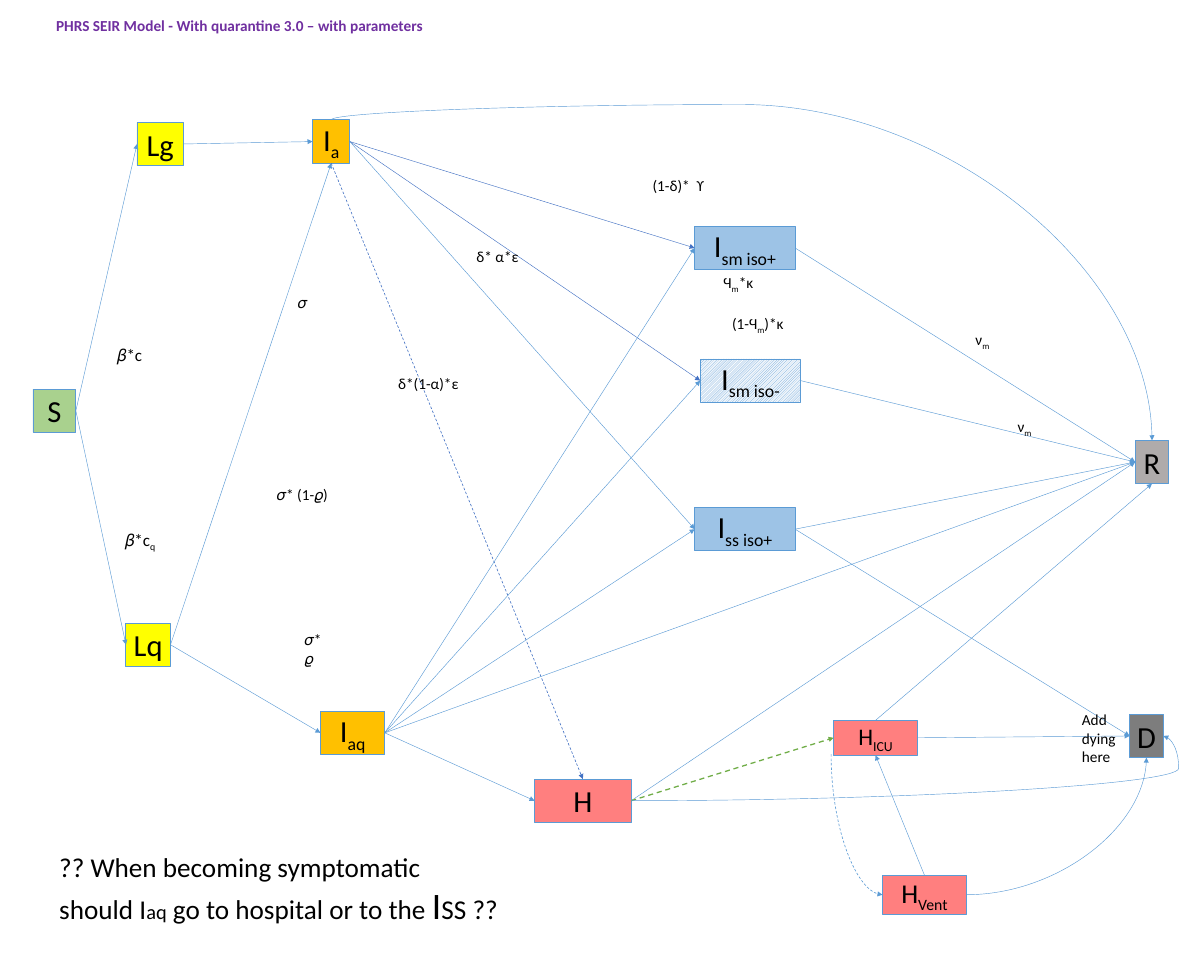
from lxml import etree
from pptx import Presentation, util as u
from pptx.dml.color import RGBColor
from pptx.enum import dml, shapes, text
from pptx.oxml.ns import qn

COLORS = {"title": "7030A0", "ink": "000000", "edge": "5B9BD5", "dark": "4472C4",
          "green": "70AD47", "susceptible": "A9D18E", "latent": "FFFF00",
          "infected": "FFC000", "isolated": "9DC3E6", "hospital": "FF0000",
          "recovered": "AFABAB", "dead": "404040", "white": "FFFFFF"}
ALPHA = {"hospital": 50, "dead": 68}
SITES = {"t": (0, 0.5, 0), "l": (1, 0, 0.5), "b": (2, 0.5, 1), "r": (3, 1, 0.5),
         "corner": (None, -0.03, 0.97)}

NODES = {
    "S": ("S", 0, 11.18, 1.78, 1.8, 36, "susceptible"),
    "Lg": ("Lg", 4.32, 0.1, 1.93, 1.8, 36, "latent"),
    "Lq": ("Lq", 3.86, 20.9, 1.85, 1.8, 36, "latent"),
    "Ia": ("I|a", 11.61, 0, 1.55, 1.8, 36, "infected"),
    "Iaq": ("I|aq", 11.94, 24.56, 2.67, 1.8, 36, "infected"),
    "Ism+": ("I|sm iso+", 27.48, 4.42, 4.17, 1.8, 36, "isolated"),
    "Ism-": ("I|sm iso-", 27.71, 9.93, 4.17, 1.8, 36, "hatched"),
    "Iss": ("I|ss iso+", 27.48, 16.1, 4.17, 1.8, 36, "isolated"),
    "H": ("H", 20.83, 27.38, 4.01, 1.8, 36, "hospital"),
    "ICU": ("H|ICU", 33.25, 24.94, 3.48, 1.45, 28, "hospital"),
    "Vent": ("H|Vent", 35.28, 31.37, 3.48, 1.63, 32, "hospital"),
    "R": ("R", 45.77, 13.31, 1.4, 1.8, 36, "recovered"),
    "D": ("D", 45.54, 24.69, 1.4, 1.8, 36, "dead"),
}
THIN, DARK = ("edge", 0.5, False), ("dark", 0.5, False)
FLOWS = [
    ("S", "r", "Lg", "l", THIN), ("S", "r", "Lq", "l", THIN),
    ("Lg", "r", "Ia", "l", THIN), ("Lq", "r", "Ia", "b", THIN),
    ("Lq", "r", "Iaq", "l", THIN), ("Ia", "r", "Ism+", "l", DARK),
    ("Ia", "r", "Ism-", "l", DARK), ("Ia", "r", "Iss", "l", THIN),
    ("Ia", "b", "H", "t", ("dark", 0.75, True)),
    *[("Iaq", "r", end, "l", THIN) for end in ("Ism+", "Ism-", "Iss", "R", "H")],
    *[(start, "r", "R", "l", THIN) for start in ("Ism+", "Ism-", "Iss", "H")],
    ("Iss", "r", "D", "l", THIN), ("ICU", "r", "D", "l", THIN),
    ("ICU", "t", "R", "b", THIN), ("Vent", "t", "ICU", "b", THIN),
    ("H", "r", "ICU", "l", ("green", 1.5, True)),
]
CURVES = [
    ("Ia", "t", "R", "t", THIN, True, "curvedConnector3", -4800),
    ("H", "r", "D", "r", THIN, False, "curvedConnector3", 102900),
    ("Vent", "r", "D", "b", THIN, False, "curvedConnector2", None),
    ("ICU", "corner", "Vent", "l", ("edge", 0.75, True), True, "curvedConnector2", None),
]
LABELS = [
    ("𝛽*c", 3.25, 9.19, 2, 20), ("𝛽*c|q", 3.58, 16.89, 2.3, 20),
    ("𝜎", 10.75, 7.06, 1.3, 18), ("𝜎* (1-𝜚)", 9.88, 15.04, 3.2, 18),
    ("𝜎*\v𝜚", 11.03, 21.08, 1.55, 18), ("δ* α*ε", 18.16, 5.15, 2.6, 18),
    ("δ*(1-α)*ε", 14.91, 10.46, 4, 18), ("(1-δ)*  ϒ", 25.48, 2.21, 3.2, 18),
    ("Ϥ|m|*κ", 28.42, 6.25, 2.3, 18), ("(1-Ϥ|m|)*κ", 28.78, 7.95, 3.2, 18),
    ("ν|m", 38.89, 8.61, 1.4, 18), ("ν|m", 40.64, 12.24, 1.4, 18),
    ("Add dying here", 43.31, 24.41, 2.39, 18),
]


def rgb(name):
    """Return the named colour."""
    return RGBColor.from_string(COLORS[name])


def add_run(p, words, size, color="ink", sub=False, bold=False):
    """Append formatted text, honouring line breaks."""
    for i, part in enumerate(words.split("\v")):
        if i:
            p.add_line_break()
        r = p.add_run()
        r.text = part
        for key, value in {"name": "Calibri", "size": u.Pt(size), "bold": bold}.items():
            setattr(r.font, key, value)
        r.font.color.rgb = rgb(color)
        if sub:
            r.font._element.set("baseline", "-25000")


def add_marked(p, words, size):
    """Write text whose every second part between bars is a subscript."""
    for i, part in enumerate(words.split("|")):
        add_run(p, part, size, sub=i % 2 == 1)


def add_box(s, x, y, w, h):
    """Add a wrapping text box and return its first paragraph."""
    tf = s.shapes.add_textbox(*map(u.Cm, (x, y, w, h))).text_frame
    tf.word_wrap = True
    return tf.paragraphs[0]


def add_node(s, left, top, node):
    """Draw one compartment relative to the diagram corner."""
    words, x, y, w, h, size, color = node
    sp = s.shapes.add_shape(shapes.MSO_SHAPE.RECTANGLE,
                            *map(u.Cm, (left + x, top + y, w, h)))
    sp.shadow.inherit = False
    if color == "hatched":
        sp.fill.patterned()
        sp.fill.pattern = dml.MSO_PATTERN.LIGHT_UPWARD_DIAGONAL
        sp.fill.fore_color.rgb, sp.fill.back_color.rgb = rgb("edge"), rgb("white")
    else:
        sp.fill.solid()
        sp.fill.fore_color.rgb = rgb(color)
    if color in ALPHA:
        clr = sp._element.spPr.find(qn("a:solidFill"))[0]
        etree.SubElement(clr, qn("a:alpha")).set("val", str(ALPHA[color] * 1000))
    sp.line.color.rgb, sp.line.width = rgb("edge"), u.Pt(1)
    tf = sp.text_frame
    for key, value in {"word_wrap": True, "vertical_anchor": text.MSO_ANCHOR.MIDDLE}.items():
        setattr(tf, key, value)
    tf.paragraphs[0].alignment = text.PP_ALIGN.CENTER
    add_marked(tf.paragraphs[0], words, size)
    return sp


def style_arrow(cn, style):
    """Give a connector its line format and arrowhead."""
    color, width, dashed = style
    cn.line.color.rgb, cn.line.width = rgb(color), u.Pt(width)
    if dashed:
        cn.line.dash_style = dml.MSO_LINE.DASH
    spPr = cn._element.spPr
    etree.SubElement(spPr.find(qn("a:ln")), qn("a:tailEnd")).set("type", "triangle")
    etree.SubElement(spPr, qn("a:effectLst"))


def port(sp, side):
    """Return the point where a connector meets a compartment."""
    _, fx, fy = SITES[side]
    return int(sp.left + fx * sp.width), int(sp.top + fy * sp.height)


def add_flow(s, start, side1, end, side2, style):
    """Join two compartments with a straight arrow."""
    cn = s.shapes.add_connector(shapes.MSO_CONNECTOR.STRAIGHT,
                                *port(start, side1), *port(end, side2))
    cn.begin_connect(start, SITES[side1][0])
    cn.end_connect(end, SITES[side2][0])
    style_arrow(cn, style)


def add_curve(s, start, side1, end, side2, style, turned, preset, adjust):
    """Join two compartments with a curved arrow, turned if it leaves vertically."""
    (x1, y1), (x2, y2) = port(start, side1), port(end, side2)
    if turned:
        cx, cy = (x1 + x2) // 2, (y1 + y2) // 2
        dx, dy = abs(x2 - x1) // 2, abs(y2 - y1) // 2
        x1, y1, x2, y2 = cx + dy, cy - dx, cx - dy, cy + dx
    cn = s.shapes.add_connector(shapes.MSO_CONNECTOR.CURVE, x1, y1, x2, y2)
    spPr = cn._element.spPr
    if turned:
        spPr.find(qn("a:xfrm")).set("rot", str(270 * 60000))
    geom = spPr.find(qn("a:prstGeom"))
    geom.set("prst", preset)
    if adjust is not None:
        guide = etree.SubElement(geom.find(qn("a:avLst")), qn("a:gd"))
        guide.set("name", "adj1")
        guide.set("fmla", f"val {adjust}")
    style_arrow(cn, style)


def title(s, x, y, w, h):
    """Write the slide title in its box."""
    add_run(add_box(s, x, y, w, h), "PHRS SEIR Model - With quarantine 3.0 – with parameters",
            18, "title", bold=True)


def diagram(s, x, y):
    """Draw compartments, flows and rate labels from the given corner."""
    nodes = {name: add_node(s, x, y, node) for name, node in NODES.items()}
    for draw, links in ((add_flow, FLOWS), (add_curve, CURVES)):
        for start, side1, end, side2, *rest in links:
            draw(s, nodes[start], side1, nodes[end], side2, *rest)
    for words, dx, dy, w, size in LABELS:
        add_marked(add_box(s, x + dx, y + dy, w, 1.02), words, size)


def question(s, x, y, w, h):
    """Write the open question in its box."""
    p = add_box(s, x, y, w, h)
    for words, size in (("?? When becoming symptomatic \vshould I", 32), ("aq", 24),
                        (" go to hospital or to the ", 32), ("I", 44), ("SS ??", 32)):
        add_run(p, words, size)


prs = Presentation()
prs.slide_width, prs.slide_height = u.Cm(50), u.Cm(40)
slide = prs.slides.add_slide(prs.slide_layouts[6])
title(slide, 2.08, 0.53, 17.17, 1.02)
diagram(slide, 1.37, 4.98)
question(slide, 2.21, 35.18, 20, 3.5)
prs.save("out.pptx")
